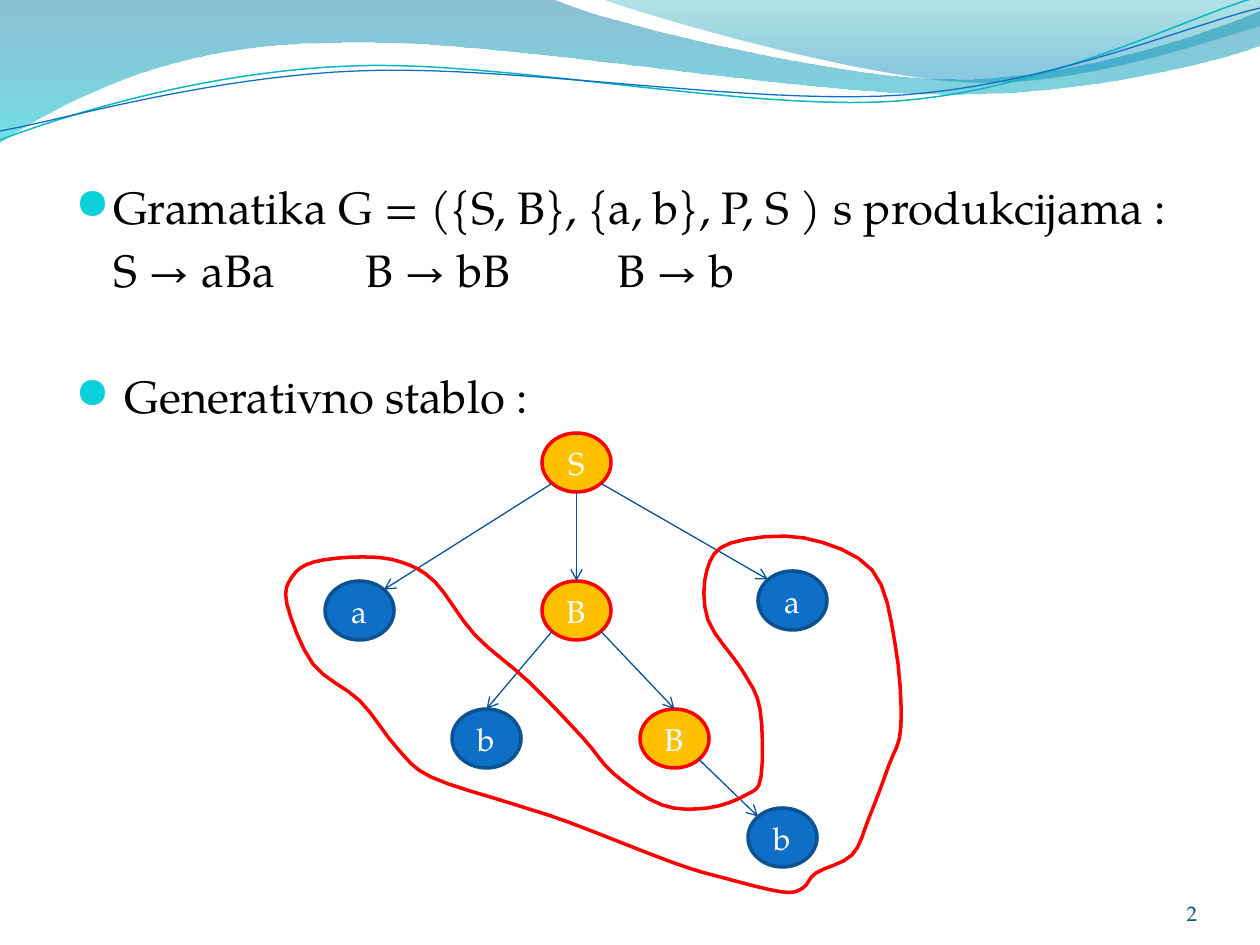
"""Build a slide showing a grammar and its generative tree."""
from dataclasses import dataclass
from typing import NamedTuple

from lxml import etree
from pptx import Presentation
from pptx import util as u
from pptx.dml.color import RGBColor
from pptx.enum import text
from pptx.enum.shapes import MSO_CONNECTOR, MSO_SHAPE
from pptx.oxml import ns

PX = 914400 / 126
FONT = "TeX Gyre Pagella"
WIDE, HIGH = 69, 59
HUES = {
    "ink": "000000", "white": "FFFFFF", "page": "045D75", "bullet": "0BD0D9",
    "gold": "FFC000", "red": "FF0000", "blue": "0F6FC6", "navy": "0B5292",
    "edge": "095295", "teal": "0AB8BF", "deep": "0074A1", "aqua": "00C6CF",
    "sea": "00A1A9", "sky": "008BBF",
}
SIDES = {"n": (0, -1), "s": (0, 1), "ne": (0.71, -0.71), "nw": (-0.71, -0.71),
         "se": (0.71, 0.71), "sw": (-0.71, 0.71)}


class Stop(NamedTuple):
    hue: str
    place: float
    solid: int


class Edge(NamedTuple):
    start: str
    out: str
    end: str
    into: str


@dataclass
class Node:
    label: str
    left: int
    top: int
    inner: bool = False

    def port(self, side: str) -> tuple[float, float]:
        """Return the point on the rim at a compass side."""
        dx, dy = SIDES[side]
        return self.left + WIDE / 2 * (1 + dx), self.top + HIGH / 2 * (1 + dy)


@dataclass
class Wave:
    runs: list
    stops: tuple = ()
    hue: str = ""
    weight: float = 0


@dataclass
class Line:
    words: str
    gap: int
    dot: bool = False


WAVES = [
    Wave([[(0, 0)],
          [(554, 0), (600, 21), (837, 79), (955, 79), (1075, 79), (1207, 33), (1260, 11)],
          [(1260, 45), (1239, 55), (1096, 96), (940, 94), (784, 94), (481, 35), (324, 43),
           (163, 45), (58, 105), (0, 142)]],
         (Stop("deep", 0, 45), Stop("aqua", 1, 55))),
    Wave([[(604, 0), (641, 14), (859, 78), (969, 82), (1079, 87), (1211, 40), (1260, 26)],
          [(1260, 0)]],
         (Stop("sea", 0, 30), Stop("sky", 0.8, 45))),
    Wave([[(0, 140), (60, 117), (199, 72), (349, 66), (498, 59), (747, 112), (898, 101),
           (1050, 89), (1182, 19), (1257, -3)]], hue="teal", weight=0.85),
    Wave([[(0, 131), (59, 121), (207, 77), (357, 71), (508, 64), (752, 106), (903, 95),
           (1053, 84), (1186, 26), (1260, 8)]], hue="blue", weight=0.75),
]
LINES = [
    Line("Gramatika G = ({S, B}, {a, b}, P, S ) s produkcijama :", 0, True),
    Line("S → aBa\t\tB → bB\t\tB → b", 0),
    Line(" Generativno stablo :", 36, True),
]
NODES = {
    "root": Node("S", 542, 433, True),
    "left": Node("a", 325, 581),
    "mid": Node("B", 542, 581, True),
    "right": Node("a", 758, 571),
    "leaf": Node("b", 452, 709),
    "low": Node("B", 640, 709, True),
    "last": Node("b", 748, 808),
}
EDGES = [
    Edge("root", "sw", "left", "ne"), Edge("root", "s", "mid", "n"),
    Edge("root", "se", "right", "nw"), Edge("mid", "se", "low", "n"),
    Edge("mid", "sw", "leaf", "n"), Edge("low", "se", "last", "nw"),
]
LOOP = [
    (401, 562), (362, 557), (314, 562), (292, 577), (287, 604), (313, 664), (360, 701),
    (397, 748), (431, 777), (513, 804), (568, 822), (674, 863), (724, 878), (782, 892),
    (803, 888), (816, 873), (852, 855), (869, 818), (889, 765), (901, 726), (895, 643),
    (872, 570), (804, 538), (731, 543), (707, 570), (708, 620), (742, 670), (760, 709),
    (761, 777), (746, 795), (708, 808), (662, 805), (614, 774), (583, 738), (529, 682),
    (475, 635), (435, 582),
]


def px(*sizes: float) -> list[int]:
    """Turn px into EMU."""
    return [round(size * PX) for size in sizes]


def rgb(hue: str) -> RGBColor:
    """Look up a colour."""
    return RGBColor.from_string(HUES[hue])


def style(font, size: int, hue: str) -> None:
    """Set face, size and colour of a font."""
    font.name, font.size, font.color.rgb = FONT, u.Pt(size), rgb(hue)


def stroke(line, hue: str, weight: float) -> None:
    """Set colour and width of a line."""
    line.color.rgb, line.width = rgb(hue), u.Pt(weight)


def smooth(dots: list) -> list:
    """Join the dots of a closed loop by a chain of cubic curves."""
    run, count = [dots[0]], len(dots)
    for i in range(count):
        a, b, c, d = (dots[(i + k) % count] for k in (-1, 0, 1, 2))
        run += [tuple(b[k] + (c[k] - a[k]) / 6 for k in (0, 1)),
                tuple(c[k] - (d[k] - b[k]) / 6 for k in (0, 1)), c]
    return run


def trace(run: list, steps: int = 20) -> list:
    """Sample a chain of cubic curves."""
    dots = [run[0]]
    for i in range(0, len(run) - 1, 3):
        a, b, c, d = run[i:i + 4]
        for t in (step / steps for step in range(1, steps + 1)):
            s = 1 - t
            dots.append(tuple(s**3 * a[k] + 3 * s * s * t * b[k] + 3 * s * t * t * c[k]
                              + t**3 * d[k] for k in (0, 1)))
    return dots


def draw_path(slide, dots: list, close: bool):
    """Draw an unfilled outline through the dots."""
    first, *rest = [px(*dot) for dot in dots]
    pen = slide.shapes.build_freeform(*first, scale=1.0)
    pen.add_line_segments(rest, close=close)
    shape = pen.convert_to_shape()
    shape.shadow.inherit = False
    shape.fill.background()
    return shape


def draw_wave(slide, wave: Wave) -> None:
    """Draw a clear gradient band or a thin curve."""
    dots = [dot for run in wave.runs for dot in trace(run)]
    shape = draw_path(slide, dots, bool(wave.stops))
    if not wave.stops:
        stroke(shape.line, wave.hue, wave.weight)
        return
    shape.line.fill.background()
    shape.fill.gradient()
    shape.fill.gradient_angle = 270
    for mark, stop in zip(shape.fill.gradient_stops, wave.stops):
        mark.color.rgb, mark.position = rgb(stop.hue), stop.place
    for clr, stop in zip(shape._element.spPr.iter(ns.qn("a:srgbClr")), wave.stops):
        etree.SubElement(clr, ns.qn("a:alpha"), val=str(stop.solid * 1000))


def add_line(para, line: Line) -> None:
    """Fill one body paragraph."""
    props = para._p.get_or_add_pPr()
    props.set("marL", str(u.Inches(0.3)))
    props.set("indent", str(-u.Inches(0.3) if line.dot else 0))
    if line.dot:
        tint = etree.SubElement(props, ns.qn("a:buClr"))
        etree.SubElement(tint, ns.qn("a:srgbClr"), val=HUES["bullet"])
        etree.SubElement(props, ns.qn("a:buSzPct"), val="95000")
        etree.SubElement(props, ns.qn("a:buChar"), char="●")
    para.text = line.words
    para.line_spacing, para.space_before = u.Pt(36), u.Pt(line.gap)
    style(para.runs[0].font, 26, "ink")


def add_words(slide, *box: int):
    """Add a wrapping text box and return its frame."""
    frame = slide.shapes.add_textbox(*px(*box)).text_frame
    frame.word_wrap = True
    return frame


def draw_page(slide) -> None:
    """Write the page number."""
    frame = add_words(slide, 1092, 876, 105, 50)
    frame.margin_left = frame.margin_right = frame.margin_top = frame.margin_bottom = 0
    frame.text, frame.vertical_anchor = "2", text.MSO_ANCHOR.BOTTOM
    frame.paragraphs[0].alignment = text.PP_ALIGN.RIGHT
    style(frame.paragraphs[0].runs[0].font, 12, "page")


def draw_node(slide, node: Node) -> None:
    """Draw one tree node."""
    shape = slide.shapes.add_shape(MSO_SHAPE.OVAL, *px(node.left, node.top, WIDE, HIGH))
    shape.shadow.inherit = False
    shape.fill.solid()
    shape.fill.fore_color.rgb = rgb("gold" if node.inner else "blue")
    stroke(shape.line, "red" if node.inner else "navy", 2)
    frame = shape.text_frame
    frame.text, frame.vertical_anchor = node.label, text.MSO_ANCHOR.MIDDLE
    frame.paragraphs[0].alignment = text.PP_ALIGN.CENTER
    style(frame.paragraphs[0].runs[0].font, 18, "white")


def draw_edge(slide, edge: Edge) -> None:
    """Draw an arrow from parent to child."""
    ends = NODES[edge.start].port(edge.out) + NODES[edge.end].port(edge.into)
    link = slide.shapes.add_connector(MSO_CONNECTOR.STRAIGHT, *px(*ends))
    stroke(link.line, "edge", 0.75)
    etree.SubElement(link.line._get_or_add_ln(), ns.qn("a:tailEnd"), type="arrow")
    etree.SubElement(link._element.spPr, ns.qn("a:effectLst"))


def main() -> None:
    """Build and save the slide."""
    deck = Presentation()
    deck.slide_width, deck.slide_height = px(1260, 945)
    slide = deck.slides.add_slide(deck.slide_layouts[6])
    for wave in WAVES:
        draw_wave(slide, wave)
    body = add_words(slide, 63, 164, 1134, 260)
    for i, line in enumerate(LINES):
        add_line(body.add_paragraph() if i else body.paragraphs[0], line)
    draw_page(slide)
    for node in NODES.values():
        draw_node(slide, node)
    for edge in EDGES:
        draw_edge(slide, edge)
    stroke(draw_path(slide, trace(smooth(LOOP), 4), True).line, "red", 2)
    deck.save("out.pptx")


if __name__ == "__main__":
    main()
